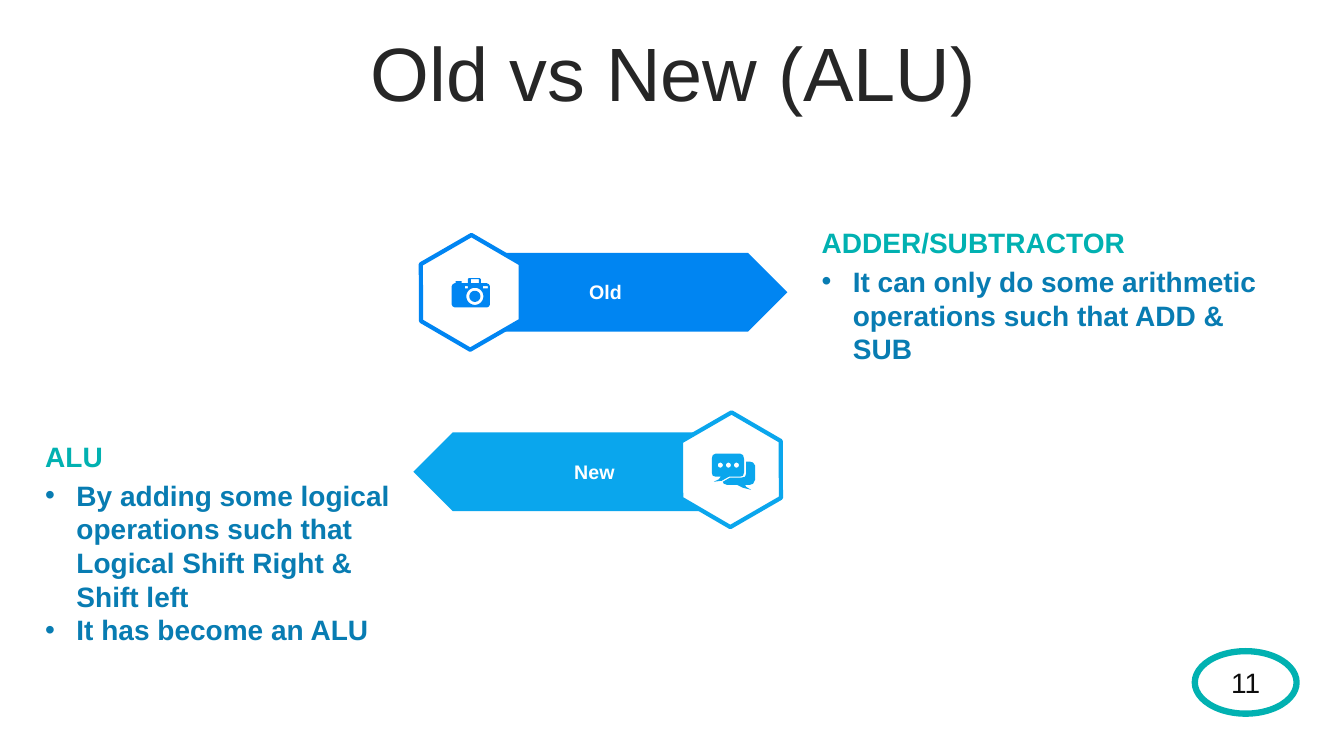
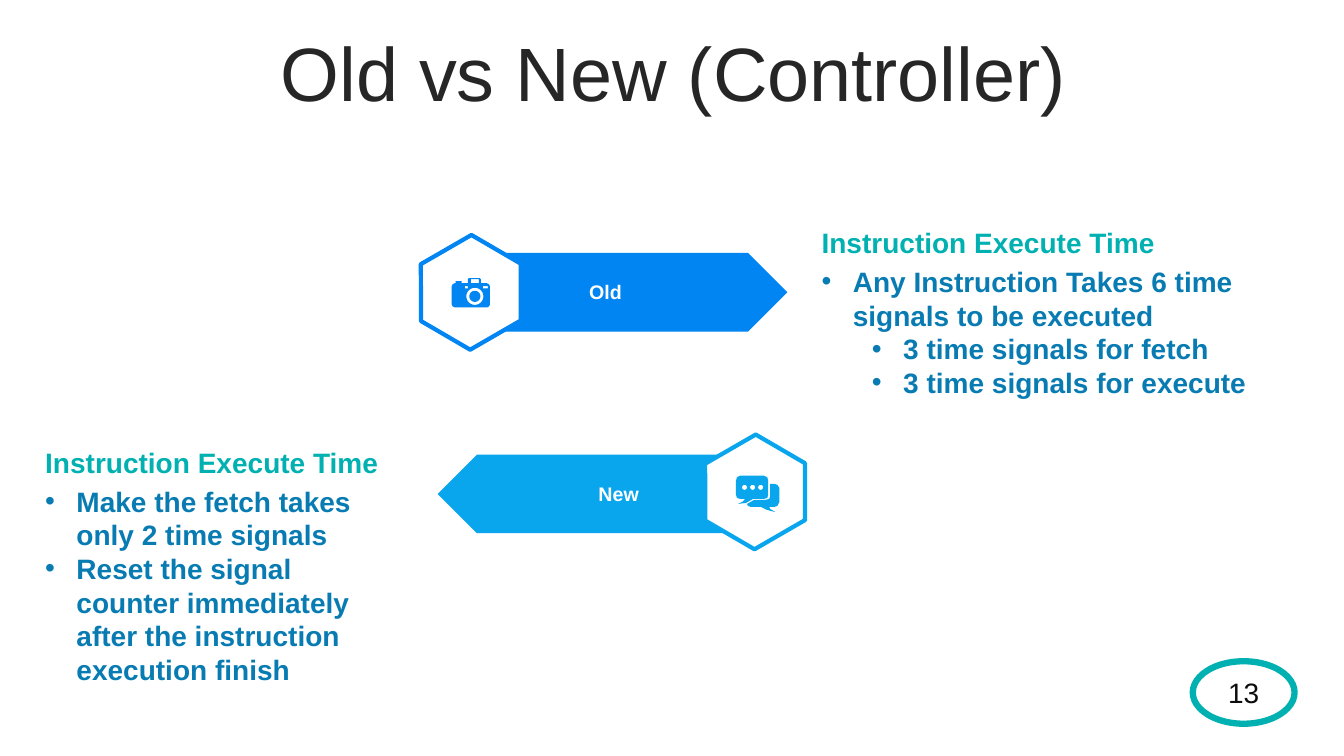
import math

from lxml import etree
from pptx import Presentation
from pptx.dml.color import RGBColor
from pptx.enum.shapes import MSO_SHAPE
from pptx.enum.text import MSO_ANCHOR, PP_ALIGN
from pptx.oxml.ns import qn
from pptx.util import Inches, Pt

PENTAGON = MSO_SHAPE.PENTAGON
HEXAGON = MSO_SHAPE.HEXAGON
OVAL = MSO_SHAPE.OVAL
CENTER = PP_ALIGN.CENTER
LEFT = PP_ALIGN.LEFT
MIDDLE = MSO_ANCHOR.MIDDLE

WHITE = RGBColor(0xFF, 0xFF, 0xFF)
TITLE_GREY = RGBColor(0x26, 0x26, 0x26)
NUMBER_BLACK = RGBColor(0x0D, 0x0D, 0x0D)
OLD_BLUE = RGBColor(0x00, 0x85, 0xF2)
NEW_BLUE = RGBColor(0x0A, 0xA6, 0xED)
TEAL = RGBColor(0x01, 0xB1, 0xB1)
BODY_BLUE = RGBColor(0x08, 0x7C, 0xB2)
FONT = "Arial"

UNIT_CIRCLE = [
    (math.cos(math.radians(angle)), math.sin(math.radians(angle)))
    for angle in range(0, 360, 15)
]

# Icon outlines are in hundredths of an inch.
CAMERA = [
    [(17, 0), (28, 0), (29, 1), (29, 5), (35, 5), (37, 6), (38, 8), (38, 26),
     (37, 28), (35, 29), (3, 29), (1, 28), (0, 26), (0, 8), (1, 6), (3, 5),
     (4, 5), (4, 3), (10, 3), (10, 5), (16, 5), (16, 1)],
    [(19, 1), (27, 1), (27, 5), (19, 5)],
    [(13, 8), (16, 8), (16, 10), (13, 10)],
    [(31, 8), (36, 8), (36, 10), (31, 10)],
]
for radius in (8.5, 5.5):
    CAMERA.append([(23 + radius * x, 18 + radius * y) for x, y in UNIT_CIRCLE])

CHAT = [
    [(4, 0), (28, 0), (31, 1.5), (32, 5), (32, 19), (31, 22), (28, 23),
     (17, 23), (10, 27), (2, 28), (7, 25.5), (9, 23), (4, 23), (1, 22),
     (0, 19), (0, 5), (1, 1.5)],
    [(34, 8), (38, 8), (41, 9), (43, 12), (43, 26), (41, 30), (38, 31),
     (33, 31), (34, 33), (39, 36), (31, 34), (25, 31), (15, 31), (12, 30),
     (11, 28), (18, 24), (29, 24), (33, 23), (34, 20)],
]
for dot_x in (8.5, 16.5, 24.5):
    CHAT.append([(dot_x + 2.5 * x, 11.5 + 2.5 * y) for x, y in UNIT_CIRCLE])

SLIDES = [
    {
        "title": "Old vs New (ALU)",
        "old_heading": "ADDER/SUBTRACTOR",
        "old_bullets": [
            (0, "It can only do some arithmetic operations such that ADD & SUB"),
        ],
        "old_height": 1.11,
        "new_heading": "ALU",
        "new_bullets": [
            (0, "By adding some logical operations such that Logical Shift Right & Shift left"),
            (0, "It has become an ALU"),
        ],
        "new_height": 1.78,
        "new_heading_top": 4.31,
        "new_arrow": (4.1, 4.29),
        "number": "11",
        "number_at": (11.85, 6.46),
    },
    {
        "title": "Old vs New (Controller)",
        "old_heading": "Instruction Execute Time",
        "old_bullets": [
            (0, "Any Instruction Takes 6 time signals to be executed"),
            (1, "3 time signals for fetch"),
            (1, "3 time signals for execute"),
        ],
        "old_height": 1.45,
        "new_heading": "Instruction Execute Time",
        "new_bullets": [
            (0, "Make the fetch takes only 2 time signals"),
            (0, "Reset the signal counter immediately after the instruction execution finish"),
        ],
        "new_height": 2.12,
        "new_heading_top": 4.37,
        "new_arrow": (4.34, 4.51),
        "number": "13",
        "number_at": (11.83, 6.56),
    },
]


def write_text(shape, lines, size, color, bold=False, align=LEFT, bulleted=False):
    text_frame = shape.text_frame
    text_frame.word_wrap = True
    text_frame.text = "\n".join(text for level, text in lines)
    for paragraph, (level, text) in zip(text_frame.paragraphs, lines):
        paragraph.alignment = align
        paragraph.level = level
        font = paragraph.runs[0].font
        font.name = FONT
        font.size = Pt(size)
        font.bold = bold
        font.color.rgb = color
        if bulleted:
            properties = paragraph._p.get_or_add_pPr()
            properties.set("marL", str(Inches(0.31 + 0.5 * level)))
            properties.set("indent", str(-Inches(0.31)))
            etree.SubElement(properties, qn("a:buFont")).set("typeface", FONT)
            etree.SubElement(properties, qn("a:buChar")).set("char", "•")
    return text_frame


def add_banner(slide, label, color, arrow, rotation, hexagon_shift, label_shift, icon, icon_shift):
    left, top = arrow
    plate = slide.shapes.add_shape(PENTAGON, Inches(left), Inches(top), Inches(3.1), Inches(0.78))
    plate.rotation = rotation
    plate.shadow.inherit = False
    plate.fill.solid()
    plate.fill.fore_color.rgb = color
    plate.line.fill.background()

    hexagon = slide.shapes.add_shape(
        HEXAGON, Inches(left + hexagon_shift[0]), Inches(top + hexagon_shift[1]),
        Inches(1.14), Inches(0.98))
    hexagon.adjustments[0] = 0.286
    hexagon.rotation = 330
    hexagon.shadow.inherit = False
    hexagon.fill.solid()
    hexagon.fill.fore_color.rgb = WHITE
    hexagon.line.color.rgb = color
    hexagon.line.width = Pt(3)

    label_box = slide.shapes.add_textbox(
        Inches(left + label_shift[0]), Inches(top + label_shift[1]), Inches(1.29), Inches(0.34))
    write_text(label_box, [(0, label)], 14, color=WHITE, bold=True, align=CENTER)

    builder = None
    for contour in icon:
        points = [(Inches(x / 100), Inches(y / 100)) for x, y in contour]
        if builder is None:
            builder = slide.shapes.build_freeform(*points[0])
        else:
            builder.move_to(*points[0])
        builder.add_line_segments(points[1:], close=True)
    drawing = builder.convert_to_shape(Inches(left + icon_shift[0]), Inches(top + icon_shift[1]))
    drawing.shadow.inherit = False
    drawing.fill.solid()
    drawing.fill.fore_color.rgb = color
    drawing.line.fill.background()


presentation = Presentation()
presentation.slide_width = Inches(13.33)
presentation.slide_height = Inches(7.5)

for content in SLIDES:
    slide = presentation.slides.add_slide(presentation.slide_layouts[6])

    title = slide.shapes.add_textbox(Inches(0.35), Inches(0.37), Inches(12.66), Inches(0.79))
    title_frame = write_text(title, [(0, content["title"])], 54, TITLE_GREY, align=CENTER)
    title_frame.vertical_anchor = MIDDLE
    title_frame.paragraphs[0].line_spacing = 0.9
    title_frame.paragraphs[0].space_before = Pt(10)

    add_banner(slide, "Old", OLD_BLUE, (4.71, 2.51), 0,
               (-0.61, -0.1), (0.65, 0.22), CAMERA, (-0.23, 0.25))
    add_banner(slide, "New", NEW_BLUE, content["new_arrow"], 180,
               (2.58, -0.12), (1.15, 0.22), CHAT, (2.96, 0.21))

    for side, left, heading_top, body_width in (
        ("old", 8.05, 2.19, 4.79),
        ("new", 0.35, content["new_heading_top"], 3.62),
    ):
        body = slide.shapes.add_textbox(
            Inches(left), Inches(heading_top + 0.385), Inches(body_width),
            Inches(content[side + "_height"]))
        write_text(body, content[side + "_bullets"], 20, BODY_BLUE, bold=True, bulleted=True)
        heading = slide.shapes.add_textbox(
            Inches(left), Inches(heading_top), Inches(4.79), Inches(0.44))
        write_text(heading, [(0, content[side + "_heading"])], 20, TEAL, bold=True)

    number_left, number_top = content["number_at"]
    badge = slide.shapes.add_shape(
        OVAL, Inches(number_left), Inches(number_top), Inches(1.01), Inches(0.62))
    badge.shadow.inherit = False
    badge.fill.background()
    badge.line.color.rgb = TEAL
    badge.line.width = Pt(4.5)
    badge_frame = write_text(badge, [(0, content["number"])], 20, NUMBER_BLACK, align=CENTER)
    badge_frame.vertical_anchor = MIDDLE

presentation.save("out.pptx")
